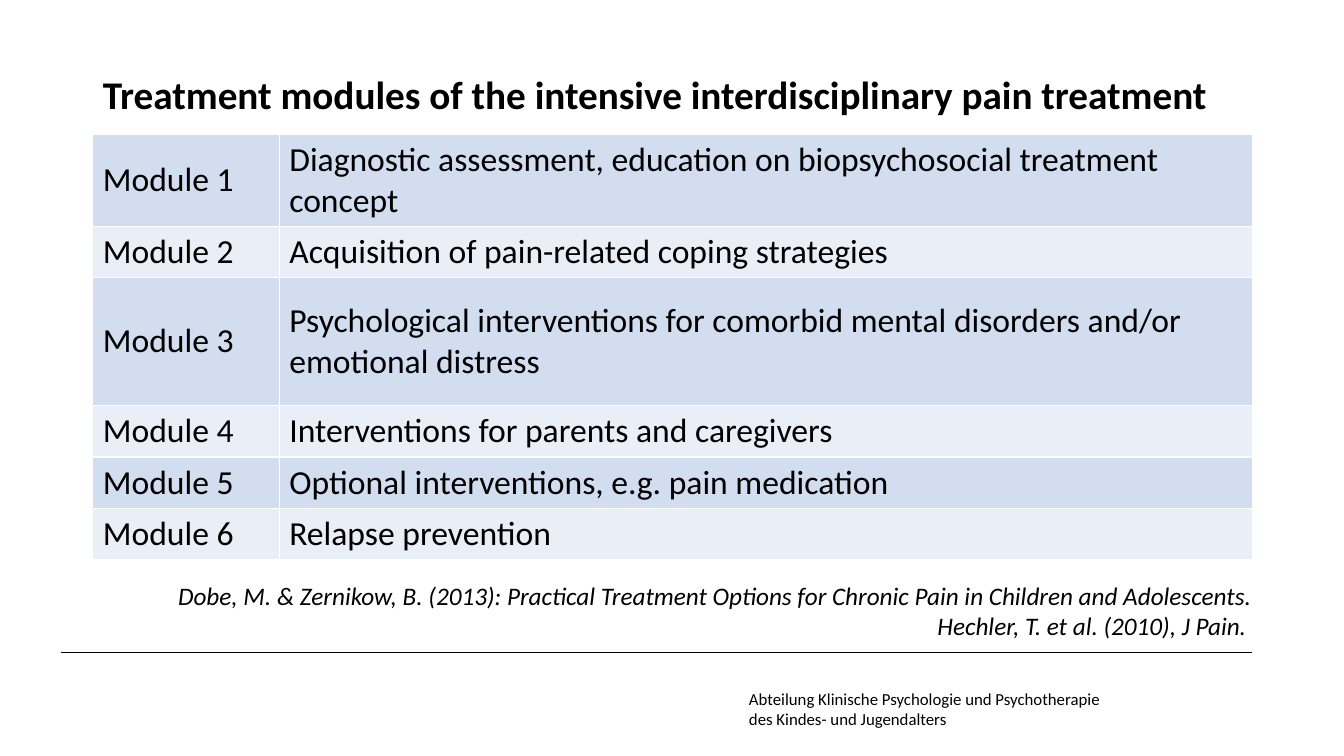
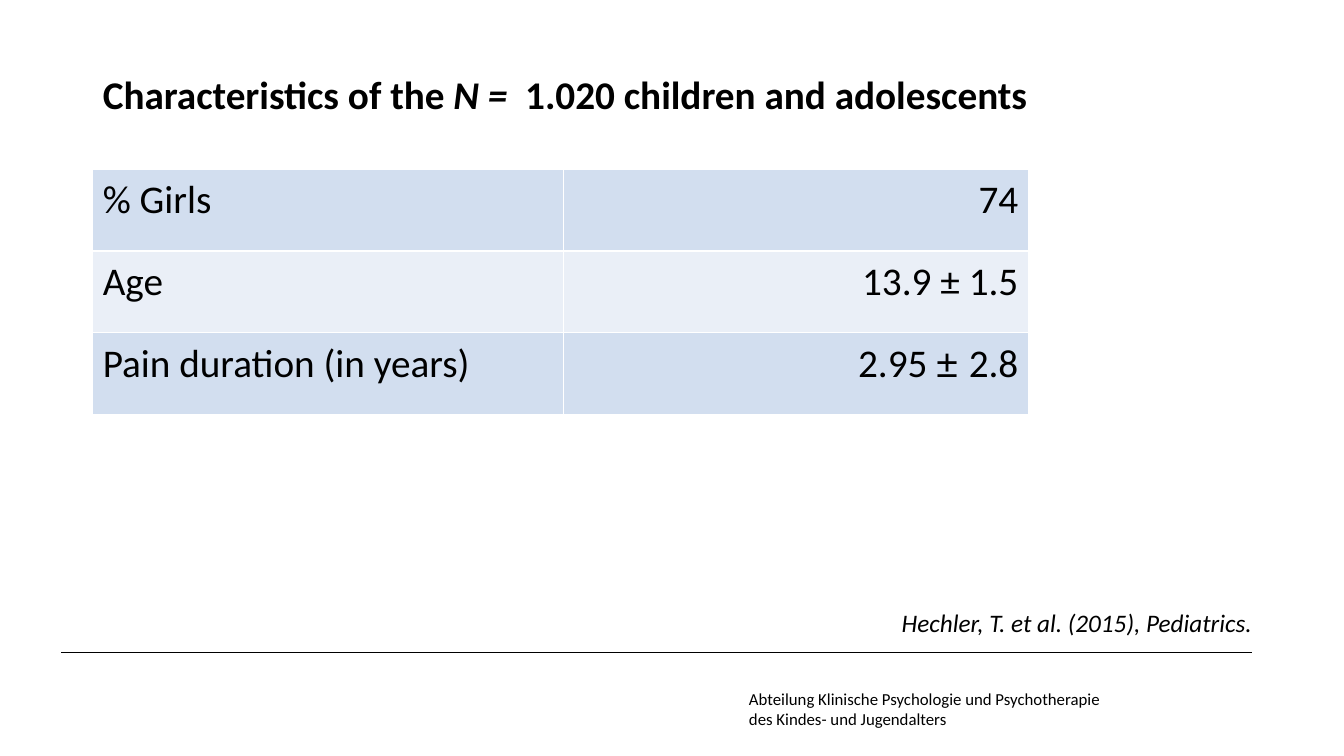
import lxml.etree
import pptx
import pptx.dml.color
import pptx.enum.shapes
import pptx.enum.text
import pptx.oxml.ns
import pptx.util

PX = 9144  # 100 px to the inch
FONT = "Calibri"
COLORS = {"text": "000000", "rule": "000000", "border": "FFFFFF",
          "band_dark": "D2DEEF", "band_light": "EAEFF7"}
LEFT, WIDTH = 92, 1150
ALIGN = pptx.enum.text.PP_ALIGN
ANCHOR = pptx.enum.text.MSO_ANCHOR
qn = pptx.oxml.ns.qn


def px(*lengths):
    return [pptx.util.Emu(n * PX) for n in lengths]


def write(tf, paragraphs, size, align=ALIGN.LEFT, bold=False, italic=False, spacing=1.0):
    """Fill a text frame; a paragraph is a string or a list of (text, font overrides)."""
    tf.word_wrap = True
    for i, runs in enumerate(paragraphs):
        p = tf.paragraphs[0] if i == 0 else tf.add_paragraph()
        p.alignment = align
        p.line_spacing = spacing
        for text, changes in [(runs, {})] if isinstance(runs, str) else runs:
            r = p.add_run()
            r.text = text
            r.font.size = pptx.util.Pt(size)
            r.font.name = changes.get("font", FONT)
            r.font.bold = bold
            r.font.italic = changes.get("italic", italic)
            r.font.color.rgb = pptx.dml.color.RGBColor.from_string(COLORS["text"])


SLIDES = [
    {
        "title": "Treatment modules of the intensive interdisciplinary pain treatment",
        "top": 133, "cols": [185, 965], "rows": [91, 51, 127, 51, 51, 51],
        "size": 24, "spacing": 1.0, "inset": 5, "anchor": ANCHOR.MIDDLE,
        "aligns": [ALIGN.LEFT, ALIGN.LEFT],
        "cells": [
            ["Module 1", "Diagnostic assessment, education on biopsychosocial treatment concept"],
            ["Module 2", "Acquisition of pain-related coping strategies"],
            ["Module 3", "Psychological interventions for comorbid mental disorders and/or "
                         "emotional distress"],
            ["Module 4", "Interventions for parents and caregivers"],
            ["Module 5", "Optional interventions, e.g. pain medication"],
            ["Module 6", "Relapse prevention"],
        ],
        "source_top": 576,
        "source": ["Dobe, M. & Zernikow, B. (2013): Practical Treatment Options for "
                   "Chronic Pain in Children and Adolescents.",
                   "Hechler, T. et al. (2010), J Pain. "],
    },
    {
        "title": [("Characteristics of the ", {}), ("N = ", {"italic": True}),
                  (" 1.020 children and adolescents", {})],
        "top": 168, "cols": [467, 461], "rows": [81] * 3,
        "size": 28, "spacing": 0.9, "inset": 10, "anchor": ANCHOR.TOP,
        "aligns": [ALIGN.LEFT, ALIGN.RIGHT],
        "cells": [
            ["% Girls", "74"],
            ["Age", "13.9 ± 1.5"],
            ["Pain duration (in years)",
             [("2.95 ", {}), ("± ", {"font": "Arial"}), ("2.8", {})]],
        ],
        "source_top": 603,
        "source": ["Hechler, T. et al. (2015), Pediatrics."],
    },
]

prs = pptx.Presentation()
prs.slide_width, prs.slide_height = px(1333, 750)

# Shared layout: title position, rule and footer
layout = prs.slide_layouts.get_by_name("Title Only")
for ph in list(layout.placeholders):
    if ph.placeholder_format.idx == 0:
        ph.left, ph.top, ph.width, ph.height = px(LEFT, 40, WIDTH, 112)
        ph.text_frame.vertical_anchor = ANCHOR.MIDDLE
    else:
        layout.shapes.element.remove(ph.element)

slides = [prs.slides.add_slide(layout) for _ in SLIDES]

# Layouts cannot add shapes themselves, so these are made on a slide and moved
footer = slides[0].shapes.add_textbox(*px(733, 678, 371, 50))
write(footer.text_frame, ["Abteilung Klinische Psychologie und Psychotherapie",
                          "des Kindes- und Jugendalters"], 12)
rule = slides[0].shapes.add_connector(
    pptx.enum.shapes.MSO_CONNECTOR.STRAIGHT, *px(61, 647, LEFT + WIDTH, 647))
rule.line.color.rgb = pptx.dml.color.RGBColor.from_string(COLORS["rule"])
rule.line.width = pptx.util.Pt(0.5)
lxml.etree.SubElement(rule.element.spPr, qn("a:effectLst"))
for sp in (footer, rule):
    layout.shapes.element.append(sp.element)

for slide, data in zip(slides, SLIDES):
    write(slide.shapes.title.text_frame, [data["title"]], 28, bold=True, spacing=0.9)

    frame = slide.shapes.add_table(
        len(data["rows"]), len(data["cols"]),
        *px(LEFT, data["top"], sum(data["cols"]), sum(data["rows"])))
    table = frame.table
    table.first_row = table.horz_banding = False
    for column, width in zip(table.columns, px(*data["cols"])):
        column.width = width
    for row, height in zip(table.rows, px(*data["rows"])):
        row.height = height
    for i, texts in enumerate(data["cells"]):
        band = COLORS["band_light" if i % 2 else "band_dark"]
        for j, text in enumerate(texts):
            cell = table.cell(i, j)
            cell.margin_left, cell.margin_right = px(10, 10)
            cell.margin_top, cell.margin_bottom = px(data["inset"], data["inset"])
            cell.vertical_anchor = data["anchor"]
            cell.fill.solid()
            cell.fill.fore_color.rgb = pptx.dml.color.RGBColor.from_string(band)
            write(cell.text_frame, [text], data["size"], data["aligns"][j],
                  spacing=data["spacing"])
    for tc_pr in frame.element.iter(qn("a:tcPr")):
        for k, side in enumerate(("a:lnL", "a:lnR", "a:lnT", "a:lnB")):
            ln = lxml.etree.Element(qn(side), w=str(pptx.util.Pt(1)))
            fill = lxml.etree.SubElement(ln, qn("a:solidFill"))
            lxml.etree.SubElement(fill, qn("a:srgbClr"), val=COLORS["border"])
            tc_pr.insert(k, ln)

    lines = data["source"]
    source = slide.shapes.add_textbox(*px(LEFT, data["source_top"], WIDTH, 30 * len(lines)))
    tf = source.text_frame
    tf.margin_left = tf.margin_right = tf.margin_top = tf.margin_bottom = 0
    write(tf, lines, 18, ALIGN.RIGHT, italic=True)

prs.save("out.pptx")
